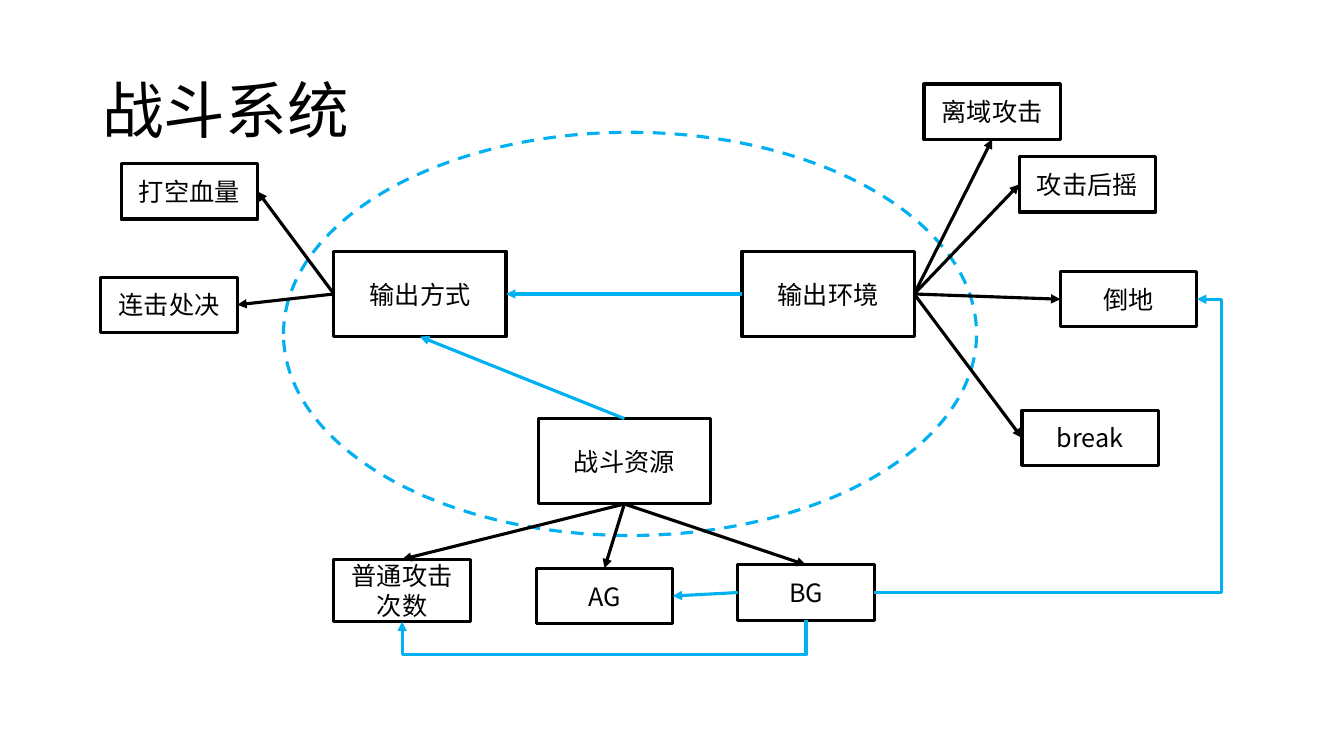
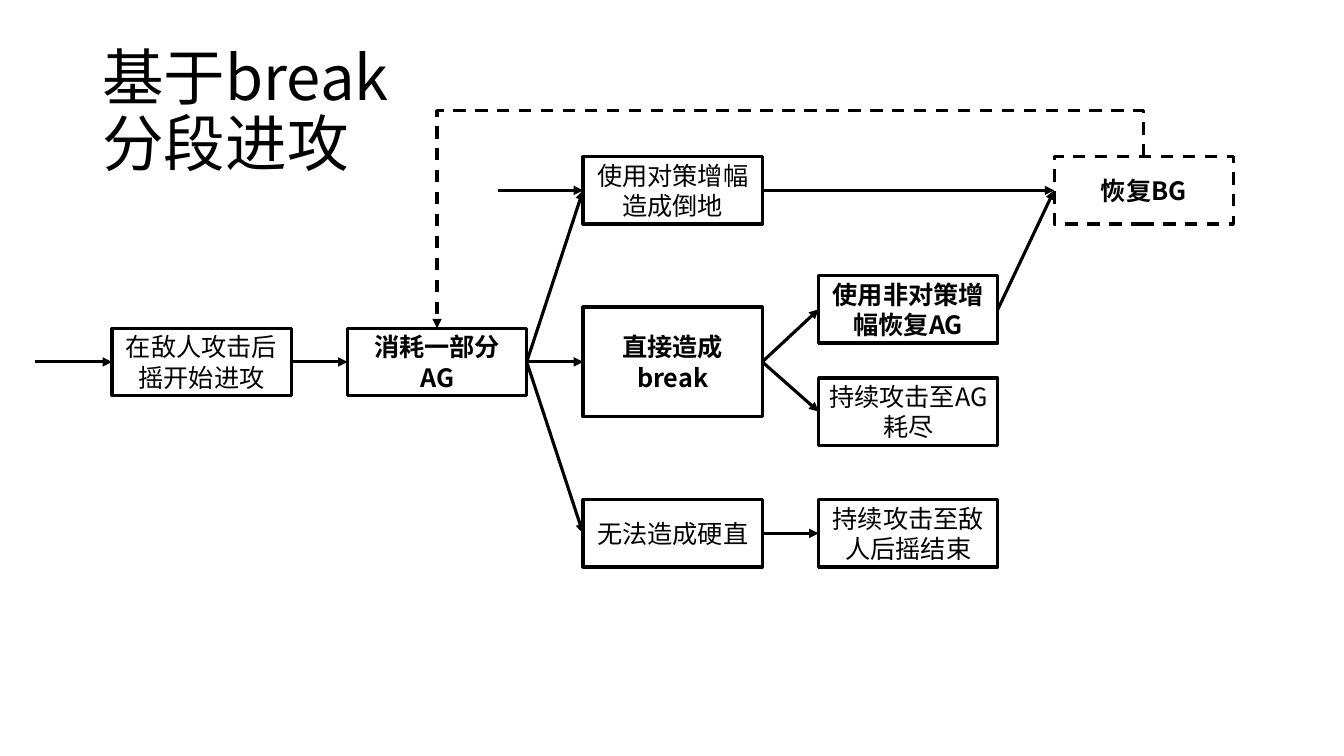
from lxml import etree
from pptx import Presentation
from pptx.dml.color import RGBColor
from pptx.enum.dml import MSO_LINE
from pptx.enum.shapes import MSO_CONNECTOR, MSO_SHAPE
from pptx.enum.text import MSO_ANCHOR, PP_ALIGN
from pptx.oxml.ns import qn
from pptx.util import Pt

RECT, OVAL = MSO_SHAPE.RECTANGLE, MSO_SHAPE.OVAL
STRAIGHT, ELBOW = MSO_CONNECTOR.STRAIGHT, MSO_CONNECTOR.ELBOW
DASH, MIDDLE, CENTER = MSO_LINE.DASH, MSO_ANCHOR.MIDDLE, PP_ALIGN.CENTER
TOP, LEFT, BOTTOM, RIGHT = range(4)

FONT = "Noto Sans CJK SC"
BLACK, BLUE = "000000", "00B0F0"


def rgb(color):
    return RGBColor.from_string(color)


# Text and outlines
def write(shape, text, size, bold=False):
    tf = shape.text_frame
    tf.word_wrap = True
    tf.vertical_anchor = MIDDLE
    p = tf.paragraphs[0]
    p.text = text
    p.font.name = FONT
    p.font.size = Pt(size)
    p.font.bold = bold
    p.font.color.rgb = rgb(BLACK)
    font = p._p.get_or_add_pPr().find(qn("a:defRPr"))
    etree.SubElement(font, qn("a:ea"), typeface=FONT)
    return p


def stroke(shape, color=BLACK, dashed=False):
    shape.line.color.rgb = rgb(color)
    shape.line.width = Pt(2.25)
    if dashed:
        shape.line.dash_style = DASH


def title(s, text):
    p = write(s.shapes.add_textbox(Pt(66), Pt(29), Pt(828), Pt(104)), text, 44)
    p.line_spacing = 0.9


def outline(s, kind, x, y, w, h, color=BLACK, dashed=False):
    sp = s.shapes.add_shape(kind, Pt(x), Pt(y), Pt(w), Pt(h))
    sp.shadow.inherit = False
    sp.fill.background()
    stroke(sp, color, dashed)
    return sp


def box(s, text, x, y, w, h, bold=False, dashed=False):
    sp = outline(s, RECT, x, y, w, h, dashed=dashed)
    write(sp, text, 18, bold).alignment = CENTER
    return sp


# Connectors
def connector(s, kind, x, y, target, side, color=BLACK, dashed=False):
    c = s.shapes.add_connector(kind, x, y, x, y)
    c.end_connect(target, side)
    stroke(c, color, dashed)
    etree.SubElement(c.line._get_or_add_ln(), qn("a:tailEnd"), type="triangle")
    etree.SubElement(c._element.spPr, qn("a:effectLst"))
    return c


def arrow(s, source, out, target, side, color=BLACK):
    c = connector(s, STRAIGHT, 0, 0, target, side, color)
    c.begin_connect(source, out)


def entry_arrow(s, length, target):
    y = target.top + target.height // 2
    connector(s, STRAIGHT, target.left - Pt(length), y, target, LEFT)


def elbow(s, source, out, target, side, turn, color=BLACK, dashed=False):
    """Three-part line whose middle part lies at the coordinate turn."""
    c = connector(s, ELBOW, 0, 0, target, side, color, dashed)
    c.begin_connect(source, out)
    x1, y1, x2, y2 = c.begin_x, c.begin_y, c.end_x, c.end_y
    start, end = x1, x2
    if out in (TOP, BOTTOM):
        # A vertical start is a horizontal one turned about its centre
        start, end = y1, y2
        w, h = abs(y2 - y1), abs(x2 - x1)
        c.left, c.top = (x1 + x2 - w) // 2, (y1 + y2 - h) // 2
        c.width, c.height = w, h
        xfrm = c._element.spPr.find(qn("a:xfrm"))
        xfrm.set("rot", str((90 if out == BOTTOM else 270) * 60000))
        for flip in ("flipH", "flipV"):
            xfrm.set(flip, "0" if out == BOTTOM else "1")
    ratio = round((Pt(turn) - start) / (end - start) * 100000)
    guides = c._element.spPr.find(qn("a:prstGeom")).get_or_add_avLst()
    etree.SubElement(guides, qn("a:gd"), name="adj1", fmla=f"val {ratio}")


# Slides
def combat_system(s):
    title(s, "战斗系统")
    outline(s, OVAL, 202.5, 94.5, 495, 288, BLUE, dashed=True)

    def core(text, x, y):
        return box(s, text, x, y, 123, 61)

    def detail(text, x, y, h=39.5):
        return box(s, text, x, y, 97.5, h)

    method = core("输出方式", 238.5, 179.5)
    resource = core("战斗资源", 384.5, 299)
    setting = core("输出环境", 530, 179.5)

    drain = detail("打空血量", 86.5, 117)
    execute = detail("连击处决", 72, 198)
    attacks = detail("普通攻击次数", 238.5, 399.5, 44.5)
    ag = detail("AG", 383, 406)
    bg = detail("BG", 527, 403.5)
    stagger = detail("break", 730, 293)
    down = detail("倒地", 757.5, 194)
    recovery = detail("攻击后摇", 728, 112)
    away = detail("离域攻击", 660, 60)

    # Each core idea and its details
    for source, out, target, side in (
        (method, LEFT, drain, RIGHT),
        (method, LEFT, execute, RIGHT),
        (resource, BOTTOM, attacks, TOP),
        (resource, BOTTOM, ag, TOP),
        (resource, BOTTOM, bg, TOP),
        (setting, RIGHT, stagger, LEFT),
        (setting, RIGHT, down, LEFT),
        (setting, RIGHT, recovery, LEFT),
        (setting, RIGHT, away, BOTTOM),
    ):
        arrow(s, source, out, target, side)

    # Influences
    arrow(s, setting, LEFT, method, RIGHT, BLUE)
    arrow(s, resource, TOP, method, BOTTOM, BLUE)
    arrow(s, bg, LEFT, ag, RIGHT, BLUE)
    elbow(s, bg, BOTTOM, attacks, BOTTOM, 468, BLUE)
    elbow(s, bg, RIGHT, down, RIGHT, 872.5, BLUE)


def staged_attack(s):
    title(s, "基于break\v分段进攻")

    def step(text, column, middle, h=48, bold=False, dashed=False):
        x = 80 + 168.25 * column
        return box(s, text, x, middle - h / 2, 128, h, bold, dashed)

    upper, main_row, lower = 136, 258.5, 381
    start = step("在敌人攻击后摇开始进攻", 0, main_row)
    spend = step("消耗一部分AG", 1, main_row, bold=True)
    knock = step("使用对策增幅造成倒地", 2, upper)
    stagger = step("直接造成break", 2, main_row, h=78.5, bold=True)
    fail = step("无法造成硬直", 2, lower)
    regain_ag = step("使用非对策增幅恢复AG", 3, 221, bold=True)
    exhaust = step("持续攻击至AG耗尽", 3, 294)
    finish = step("持续攻击至敌人后摇结束", 3, lower)
    regain_bg = step("恢复BG", 4, upper, bold=True, dashed=True)

    for source, target in (
        (start, spend),
        (spend, knock),
        (spend, stagger),
        (spend, fail),
        (fail, finish),
        (stagger, regain_ag),
        (stagger, exhaust),
        (knock, regain_bg),
        (regain_ag, regain_bg),
    ):
        arrow(s, source, RIGHT, target, LEFT)

    # Entries and the loop back
    entry_arrow(s, 55, start)
    entry_arrow(s, 61, knock)
    elbow(s, regain_bg, TOP, spend, TOP, 79, dashed=True)


def main():
    prs = Presentation()
    prs.slide_width, prs.slide_height = Pt(960), Pt(540)
    for build in (combat_system, staged_attack):
        build(prs.slides.add_slide(prs.slide_layouts[6]))
    prs.save("out.pptx")


if __name__ == "__main__":
    main()
